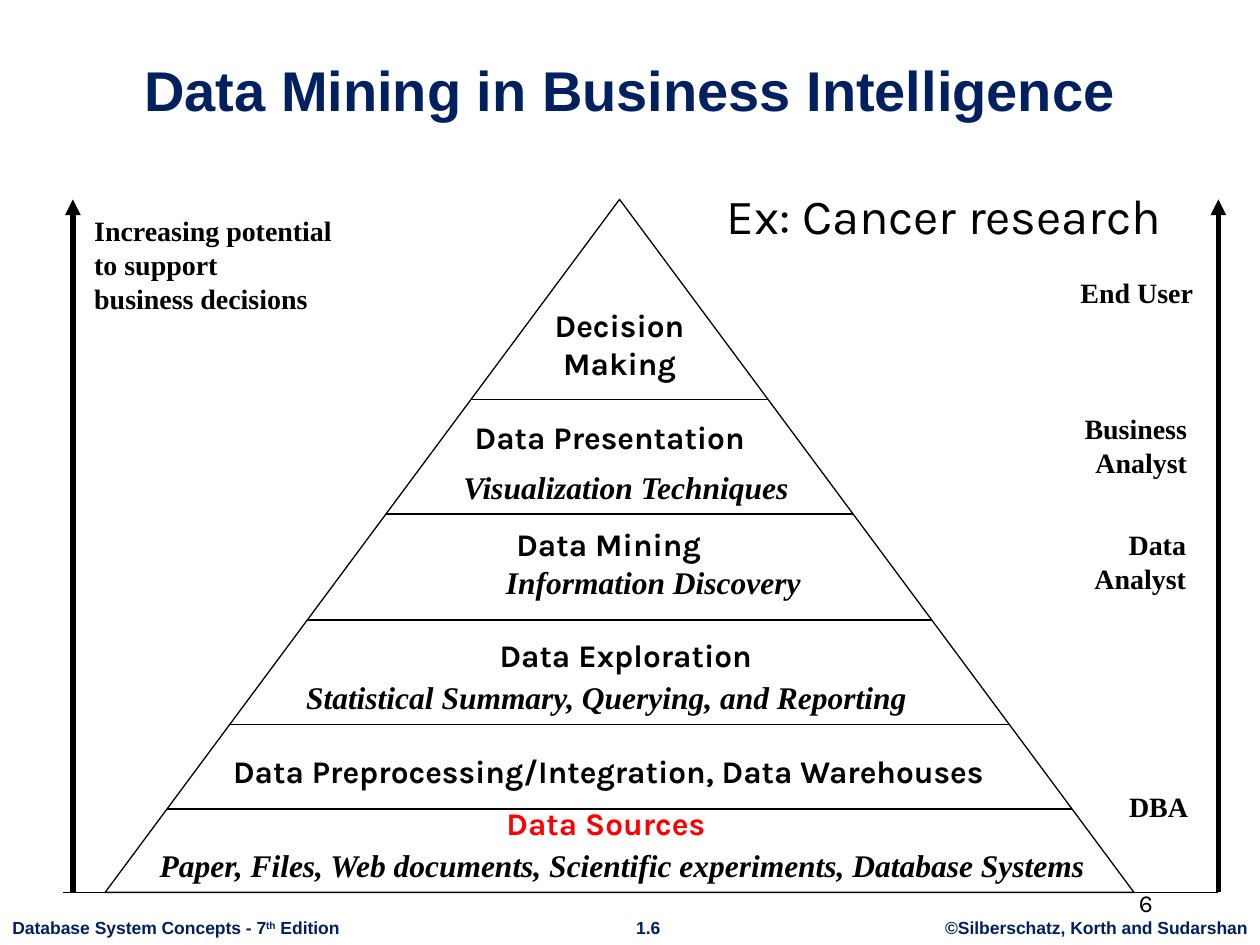
from lxml import etree
from pptx import Presentation
from pptx.dml.color import RGBColor
from pptx.enum import shapes, text
from pptx.oxml import ns
from pptx.util import Cm, Pt

BLACK = RGBColor(0, 0, 0)
NAVY = RGBColor(0x00, 0x20, 0x60)
RED = RGBColor(0xFF, 0, 0)
LEFT, CENTER, RIGHT = text.PP_ALIGN.LEFT, text.PP_ALIGN.CENTER, text.PP_ALIGN.RIGHT

TITLE = "Data Mining in Business Intelligence"

# Style: font, size, bold, italic, colour
FOOTER = ("Arial", 10, True, False, NAVY)
HEADING = ("Arial", 32, True, False, NAVY)
ROLE = ("Times New Roman", 16, True, False, BLACK)
LAYER = ("Karla", 18, True, False, BLACK)
SOURCE = ("Karla", 18, True, False, RED)
DETAIL = ("Times New Roman", 18, True, True, BLACK)
EXAMPLE = ("Karla", 28, False, False, BLACK)
NUMBER = ("Karla", 14, False, False, BLACK)

# Pyramid and rules, in cm
PYRAMID = (2.12, 4.02, 20.74, 13.97)
LAYER_EDGES = [16.31, 14.61, 12.5, 10.36, 8.05]
ARROWS = [1.47, 24.56]
BASE = (1.27, 24.56)

# Text: style, alignment, wrap, (left, top, width, height) in cm, lines
TEXTS = [
    (FOOTER, CENTER, False, (18.8, 18.36, 6.6, 0.69), ["©Silberschatz, Korth and Sudarshan"]),
    (FOOTER, CENTER, False, (12.45, 18.36, 1.24, 0.69), ["1.6"]),
    (NUMBER, RIGHT, True, (18.21, 17.78, 5.28, 1.27), ["6"]),
    (ROLE, LEFT, False, (1.65, 4.19, 5.33, 2.29),
     ["Increasing potential", "to support", "business decisions"]),
    (ROLE, RIGHT, False, (21.51, 5.44, 2.79, 0.94), ["End User"]),
    (ROLE, RIGHT, False, (21.54, 8.18, 2.64, 1.63), ["Business", "Analyst"]),
    (ROLE, RIGHT, False, (21.77, 10.52, 2.39, 1.63), ["Data", "Analyst"]),
    (ROLE, RIGHT, False, (22.5, 15.8, 1.7, 0.94), ["DBA"]),
    (LAYER, CENTER, True, (10.8, 6.05, 3.38, 1.78), ["Decision Making"]),
    (LAYER, LEFT, False, (9.32, 8.31, 6.27, 1.02), ["Data Presentation"]),
    (DETAIL, LEFT, False, (9.09, 9.32, 7.16, 1.02), ["Visualization Techniques"]),
    (LAYER, LEFT, True, (10.16, 10.46, 4.95, 1.02), ["Data Mining"]),
    (DETAIL, LEFT, False, (9.95, 11.23, 6.45, 1.02), ["Information Discovery"]),
    (LAYER, CENTER, True, (9.35, 12.7, 6.53, 1.02), ["Data Exploration"]),
    (DETAIL, LEFT, True, (5.92, 13.54, 12.7, 1.02),
     ["Statistical Summary, Querying, and Reporting"]),
    (LAYER, LEFT, False, (4.45, 15.04, 16.74, 1.02),
     ["Data Preprocessing/Integration, Data Warehouses"]),
    (SOURCE, LEFT, False, (9.96, 16.08, 4.72, 1.02), ["Data Sources"]),
    (DETAIL, LEFT, True, (2.97, 16.94, 19.76, 1.02),
     ["Paper, Files, Web documents, Scientific experiments, Database Systems"]),
    (EXAMPLE, LEFT, False, (14.4, 3.61, 9.3, 1.45), ["Ex: Cancer research"]),
]
EDITION = [("Database System Concepts - 7", False), ("th", True), (" Edition", False)]
EDITION_PLACE = (0, 18.36, 7.14, 0.69)


def add_span(para, words, style):
    span = para.add_run()
    span.text = words
    font = span.font
    font.name, size, font.bold, font.italic, font.color.rgb = style
    font.size = Pt(size)
    return span


def add_box(page, place, wrap):
    frame = page.shapes.add_textbox(*map(Cm, place)).text_frame
    frame.word_wrap = wrap
    frame.auto_size = text.MSO_AUTO_SIZE.SHAPE_TO_FIT_TEXT
    return frame


def add_text(page, style, align, wrap, place, lines):
    frame = add_box(page, place, wrap)
    for index, words in enumerate(lines):
        para = frame.add_paragraph() if index else frame.paragraphs[0]
        para.alignment = align
        add_span(para, words, style)


def add_line(page, start, end, width=0.75, arrow=False):
    line = page.shapes.add_connector(
        shapes.MSO_CONNECTOR.STRAIGHT, *map(Cm, start + end))
    line.line.color.rgb = BLACK
    line.line.width = Pt(width)
    if arrow:
        etree.SubElement(line.line._get_or_add_ln(), ns.qn("a:tailEnd"), type="triangle")
    etree.SubElement(line._element.spPr, ns.qn("a:effectLst"))


def add_pyramid(page):
    left, top, width, height = PYRAMID
    pyramid = page.shapes.add_shape(
        shapes.MSO_SHAPE.FLOWCHART_EXTRACT, *map(Cm, PYRAMID))
    pyramid.shadow.inherit = False
    pyramid.fill.background()
    pyramid.line.color.rgb = BLACK
    pyramid.line.width = Pt(0.75)
    middle, bottom = left + width / 2, top + height
    for y in LAYER_EDGES:
        half = width / 2 * (y - top) / height
        add_line(page, (middle - half, y), (middle + half, y))
    for x in ARROWS:
        add_line(page, (x, bottom), (x, top), 3, arrow=True)
    add_line(page, (BASE[0], bottom), (BASE[1], bottom))


def main():
    deck = Presentation()
    deck.slide_width, deck.slide_height = Cm(25.4), Cm(19.05)
    page = deck.slides.add_slide(deck.slide_layouts[5])

    title = page.shapes.title
    title.left, title.top, title.width, title.height = map(Cm, (0.64, 1.07, 24.13, 1.47))
    title.text_frame.vertical_anchor = text.MSO_ANCHOR.MIDDLE
    para = title.text_frame.paragraphs[0]
    para.alignment = CENTER
    add_span(para, TITLE, HEADING)

    add_pyramid(page)
    for entry in TEXTS:
        add_text(page, *entry)

    para = add_box(page, EDITION_PLACE, False).paragraphs[0]
    for words, raised in EDITION:
        span = add_span(para, words, FOOTER)
        if raised:
            span._r.get_or_add_rPr().set("baseline", "30000")

    deck.save("out.pptx")


if __name__ == "__main__":
    main()
